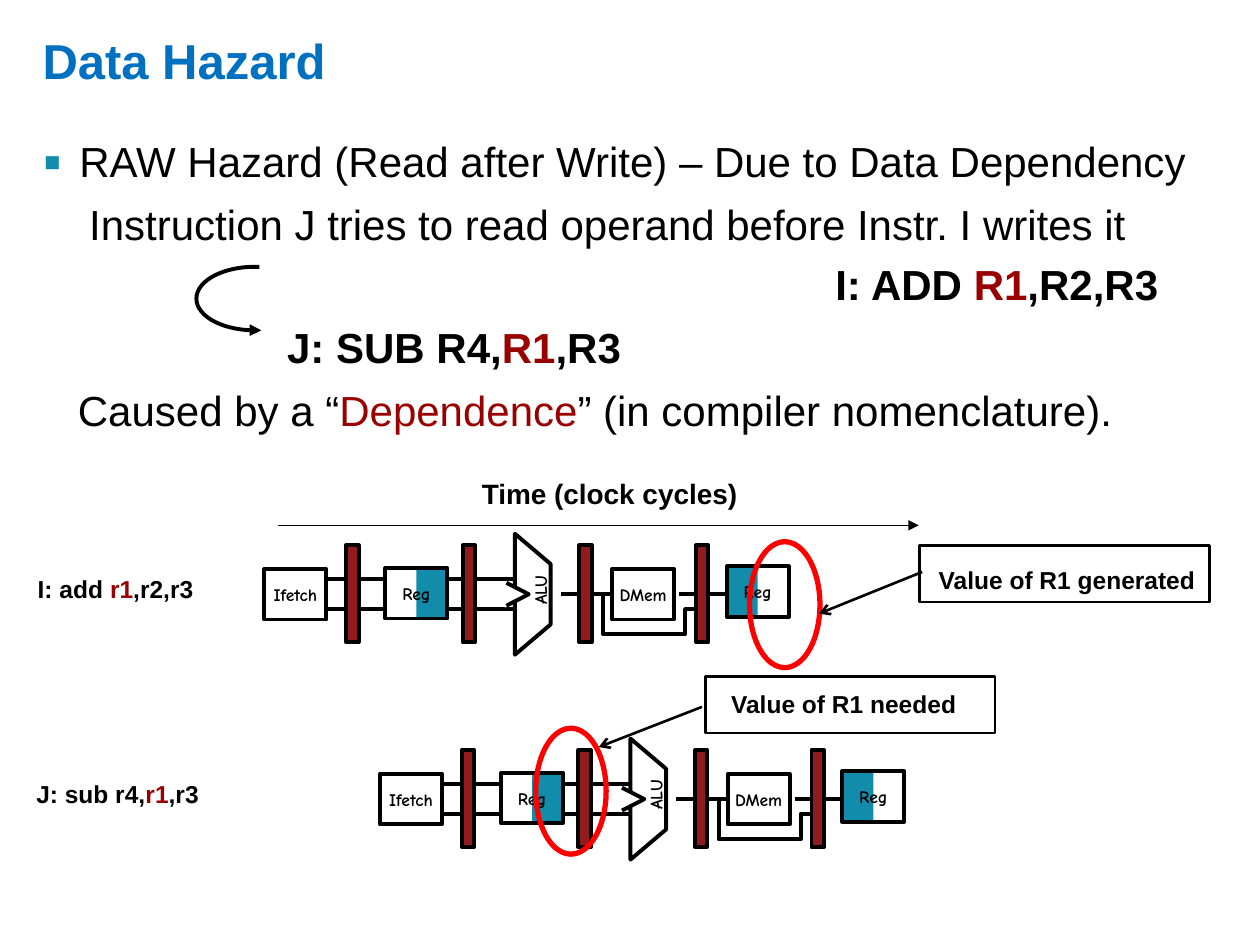
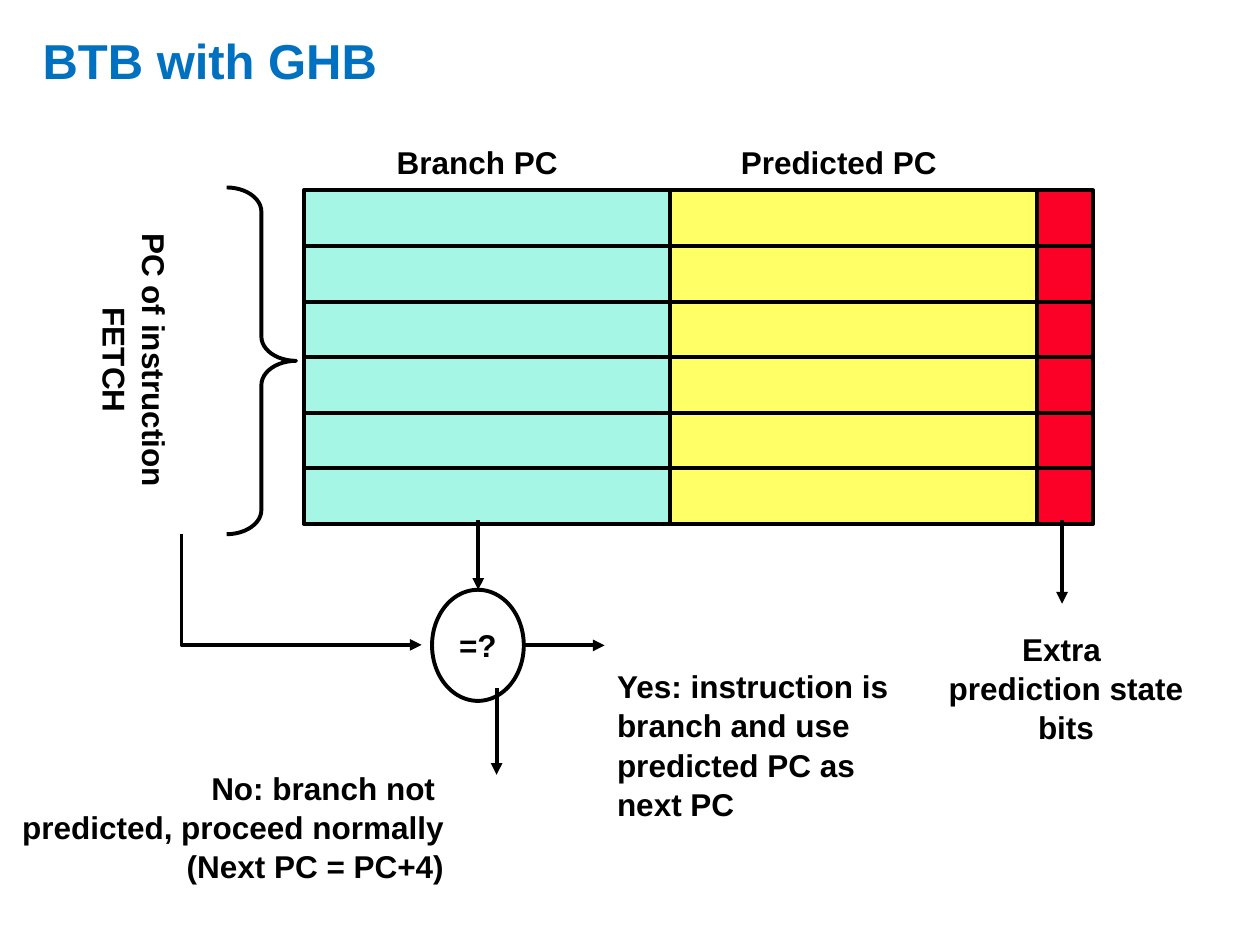
import math
from lxml import etree
from pptx import Presentation
from pptx import util as u
from pptx.dml.color import RGBColor
from pptx.enum import shapes, text
from pptx.oxml.ns import qn

C = dict(title="0070C0", ink="000000", accent="990000", teal="128CAB", latch="911B1D",
         white="FFFFFF", ring="FF0000", mint="A6F6E5", yellow="FFFF66", red="FC0128")
SHAPE = shapes.MSO_SHAPE
LEFT, CENTER, RIGHT = text.PP_ALIGN.LEFT, text.PP_ALIGN.CENTER, text.PP_ALIGN.RIGHT
MIDDLE, TOP = text.MSO_ANCHOR.MIDDLE, text.MSO_ANCHOR.TOP


def rgb(name):
    return RGBColor.from_string(C[name])


def cm(*values):
    return [u.Cm(v) for v in values]


def write(sp, paragraphs, size=18, bold=True, font="Arial", color="ink",
          align=CENTER, anchor=MIDDLE, spacing=1.0):
    tf = sp.text_frame
    tf.word_wrap = True
    tf.vertical_anchor = anchor
    tf.margin_left = tf.margin_right = tf.margin_top = tf.margin_bottom = 0
    for i, runs in enumerate(paragraphs):
        p = tf.paragraphs[0] if i == 0 else tf.add_paragraph()
        p.alignment = align
        p.line_spacing = spacing
        for run in [runs] if isinstance(runs, str) else runs:
            words, tint = (run, color) if isinstance(run, str) else run
            r = p.add_run()
            r.text = words
            r.font.name, r.font.size, r.font.bold = font, u.Pt(size), bold
            r.font.color.rgb = rgb(tint)
    return tf


def label(s, x, y, w, h, paragraphs, rotation=0, **fmt):
    sp = s.shapes.add_textbox(*cm(x, y, w, h))
    sp.rotation = rotation
    return write(sp, paragraphs, **fmt)


def paint(sp, fill=None, line="ink", width=2.25):
    sp.shadow.inherit = False
    if fill:
        sp.fill.solid()
        sp.fill.fore_color.rgb = rgb(fill)
    else:
        sp.fill.background()
    if line:
        sp.line.color.rgb = rgb(line)
        sp.line.width = u.Pt(width)
    else:
        sp.line.fill.background()
    return sp


def shape(s, kind, x, y, w, h, **look):
    return paint(s.shapes.add_shape(kind, *cm(x, y, w, h)), **look)


def add_head(sp, head):
    ln = sp.line._get_or_add_ln()
    etree.SubElement(ln, qn("a:tailEnd"), type=head)


def line(s, x1, y1, x2, y2, width=2.25, head=None):
    cx = s.shapes.add_connector(shapes.MSO_CONNECTOR.STRAIGHT, *cm(x1, y1, x2, y2))
    cx.line.color.rgb = rgb("ink")
    cx.line.width = u.Pt(width)
    if head:
        add_head(cx, head)
    etree.SubElement(cx._element.spPr, qn("a:effectLst"))


def poly(s, x, y, points, close=False, head=None, **look):
    pts = [cm(x + dx, y + dy) for dx, dy in points]
    fb = s.shapes.build_freeform(*pts[0])
    fb.add_line_segments(pts[1:], close=close)
    sp = paint(fb.convert_to_shape(), **look)
    if head:
        add_head(sp, head)


def new_slide(prs, title):
    s = prs.slides.add_slide(prs.slide_layouts[6])
    label(s, 0.86, 0.03, 23.8, 2.34, [title], size=28, color="title", align=LEFT)
    return s


def hazard_text(s, x, y, w):
    tf = label(s, x, y, w, 6, [
        "RAW Hazard (Read after Write) – Due to Data Dependency",
        "Instruction J tries to read operand before Instr. I writes it",
        ["I: ADD ", ("R1", "accent"), ",R2,R3"],
        ["J: SUB R4,", ("R1", "accent"), ",R3"],
        ["Caused by a “", ("Dependence", "accent"), "” (in compiler nomenclature)."],
    ], size=24, bold=False, align=LEFT, anchor=TOP)
    indents, gaps = (0.73, 0.93, 15.97, 4.92, 0.7), (0, 7.25, 5, 7.25, 7.25)
    for p, indent, gap in zip(tf.paragraphs, indents, gaps):
        p.space_before = u.Pt(gap)
        p._p.get_or_add_pPr().set("marL", str(u.Cm(indent)))
    for p in tf.paragraphs[2:4]:
        for r in p.runs:
            r.font.bold = True
    pPr = tf.paragraphs[0]._p.get_or_add_pPr()
    pPr.set("indent", str(-u.Cm(indents[0])))
    clr = etree.SubElement(pPr, qn("a:buClr"))
    etree.SubElement(clr, qn("a:srgbClr"), val=C["teal"])
    etree.SubElement(pPr, qn("a:buSzPct"), val="125000")
    etree.SubElement(pPr, qn("a:buFont"), typeface="Arial")
    etree.SubElement(pPr, qn("a:buChar"), char="▪")


def curved_arrow(s, x, y, rx, ry):
    angles = [math.radians(a) for a in range(90, 271, 6)]
    arc = [(rx * math.cos(a), -ry * math.sin(a)) for a in angles]
    poly(s, x, y, [(0.1, -ry)] + arc + [(0.14, ry)], head="triangle")


def stage(s, x, y, name, fill="white", shaded=None):
    w, h = 1.25, 1.02
    if shaded is not None:
        shape(s, SHAPE.RECTANGLE, x + shaded * w / 2, y, w / 2, h, fill="teal", line=None)
        fill = None
    box = shape(s, SHAPE.RECTANGLE, x, y, w, h, fill=fill)
    write(box, [name], size=10, font="Comic Neue")


def pipeline(s, x, y):
    for dy in (-0.3, 0.3):
        line(s, x + 1.25, y + dy, x + 2.44, y + dy)
        line(s, x + 3.7, y + dy, x + 5.08, y + dy)
    line(s, x + 5.97, y, x + 7.01, y)
    line(s, x + 8.36, y, x + 9.32, y)
    poly(s, x, y, [(5.05, 1.22), (5.77, 0.61), (5.77, -0.61), (5.05, -1.22)],
         close=True, fill="white")
    poly(s, x, y, [(4.85, -0.27), (5.38, 0), (4.85, 0.27)], close=True, fill="white", line=None)
    poly(s, x, y, [(4.88, -0.23), (5.33, 0), (4.88, 0.23)])
    label(s, x + 4.95, y - 0.43, 1.22, 0.69, ["ALU"], rotation=270, size=10, font="Comic Neue")
    poly(s, x, y, [(6.83, 0), (6.83, 0.81), (8.48, 0.81), (8.48, 0.3), (8.71, 0.3)])
    stage(s, x, y - 0.51, "Ifetch")
    stage(s, x + 2.44, y - 0.53, "Reg", shaded=1)
    stage(s, x + 7.01, y - 0.51, "DMem")
    for i in range(4):
        shape(s, SHAPE.RECTANGLE, x + 1.65 + 2.35 * i, y - 0.99, 0.25, 1.96, fill="latch")
    stage(s, x + 9.32, y - 0.56, "Reg", shaded=0)


def instruction(s, x, y, before, after):
    label(s, x, y, 4, 0.8, [[before, ("r1", "accent"), after]], size=14)


def callout(s, x, y, words, dx, dy):
    shape(s, SHAPE.RECTANGLE, x, y, 5.84, 1.14, width=1.5)
    label(s, x + dx, y + dy, 5.6, 0.7, [words], size=14)


def data_hazard(prs):
    s = new_slide(prs, "Data Hazard")
    hazard_text(s, 0.87, 2.74, 24)
    curved_arrow(s, 5.13, 6.02, 1.17, 0.64)
    label(s, 8.99, 9.5, 6.6, 0.9, ["Time (clock cycles)"], size=16)
    line(s, 5.61, 10.59, 18.52, 10.59, width=0.75, head="triangle")
    x, y, dx, dy = 5.33, 11.98, 2.33, 4.13
    for i in range(2):
        pipeline(s, x + i * dx, y + i * dy)
    instruction(s, 0.33, 11.47, "I: add ", ",r2,r3")
    instruction(s, 0.37, 15.6, "J: sub r4,", ",r3")
    for left, top in ((15.11, 10.92), (10.8, 14.68)):
        shape(s, SHAPE.OVAL, left, top, 1.42, 2.54, line="ring", width=3)
    line(s, 18.59, 11.53, 16.51, 12.37, width=1.5, head="arrow")
    line(s, 14.15, 14.25, 12.07, 15.06, width=1.5, head="arrow")
    callout(s, 18.54, 11, "Value of R1 generated", 0.17, 0.34)
    callout(s, 14.22, 13.64, "Value of R1 needed", -0.01, 0.2)


def prediction_table(s, x, y):
    for row in range(6):
        left = x
        for width, fill in ((7.39, "mint"), (7.39, "yellow"), (1.14, "red")):
            shape(s, SHAPE.RECTANGLE, left, y + 1.12 * row, width, 1.12, fill=fill)
            left += width
    label(s, x + 1, y - 1.07, 5, 1, ["Branch PC"])
    label(s, x + 8.29, y - 1.07, 5, 1, ["Predicted PC"])


def fetch_input(s, x, y):
    label(s, x - 4.58, y + 2.5, 7.47, 1.96, ["PC of instruction", "FETCH"],
          rotation=90, spacing=1.04)
    brace = shape(s, SHAPE.RIGHT_BRACE, x + 0.99, y, 1.4, 6.99)
    brace.adjustments[0] = 0.35
    poly(s, x + 0.08, y + 6.98, [(0, 0), (0, 2.24), (4.84, 2.24)], head="triangle")


def comparison(s, x, y):
    circle = shape(s, SHAPE.OVAL, x, y, 1.85, 2.24)
    write(circle, ["=?"])
    line(s, x + 0.93, y - 1.4, x + 0.93, y, head="triangle")
    line(s, x + 1.85, y + 1.12, x + 3.48, y + 1.12, head="triangle")
    line(s, x + 1.3, y + 1.98, x + 1.3, y + 3.73, head="triangle")
    label(s, x + 3.73, y + 0.6, 6.17, 5.03,
          ["Yes: instruction is branch and use predicted PC as next PC"],
          align=LEFT, spacing=1.04)
    label(s, x - 8.5, y + 3.09, 8.74, 3.35,
          ["No: branch not ", "predicted, proceed normally", "(Next PC = PC+4)"],
          align=RIGHT, spacing=1.04)


def btb(prs):
    s = new_slide(prs, "BTB with GHB")
    prediction_table(s, 6.12, 3.84)
    fetch_input(s, 3.58, 3.78)
    comparison(s, 8.71, 11.89)
    line(s, 21.41, 10.49, 21.41, 12.17, head="triangle")
    label(s, 18.49, 11.93, 6, 3.84, ["Extra ", "prediction state", "bits"], spacing=1.04)


def main():
    prs = Presentation()
    prs.slide_width, prs.slide_height = cm(25.4, 19.05)
    data_hazard(prs)
    btb(prs)
    prs.save("out.pptx")


if __name__ == "__main__":
    main()
